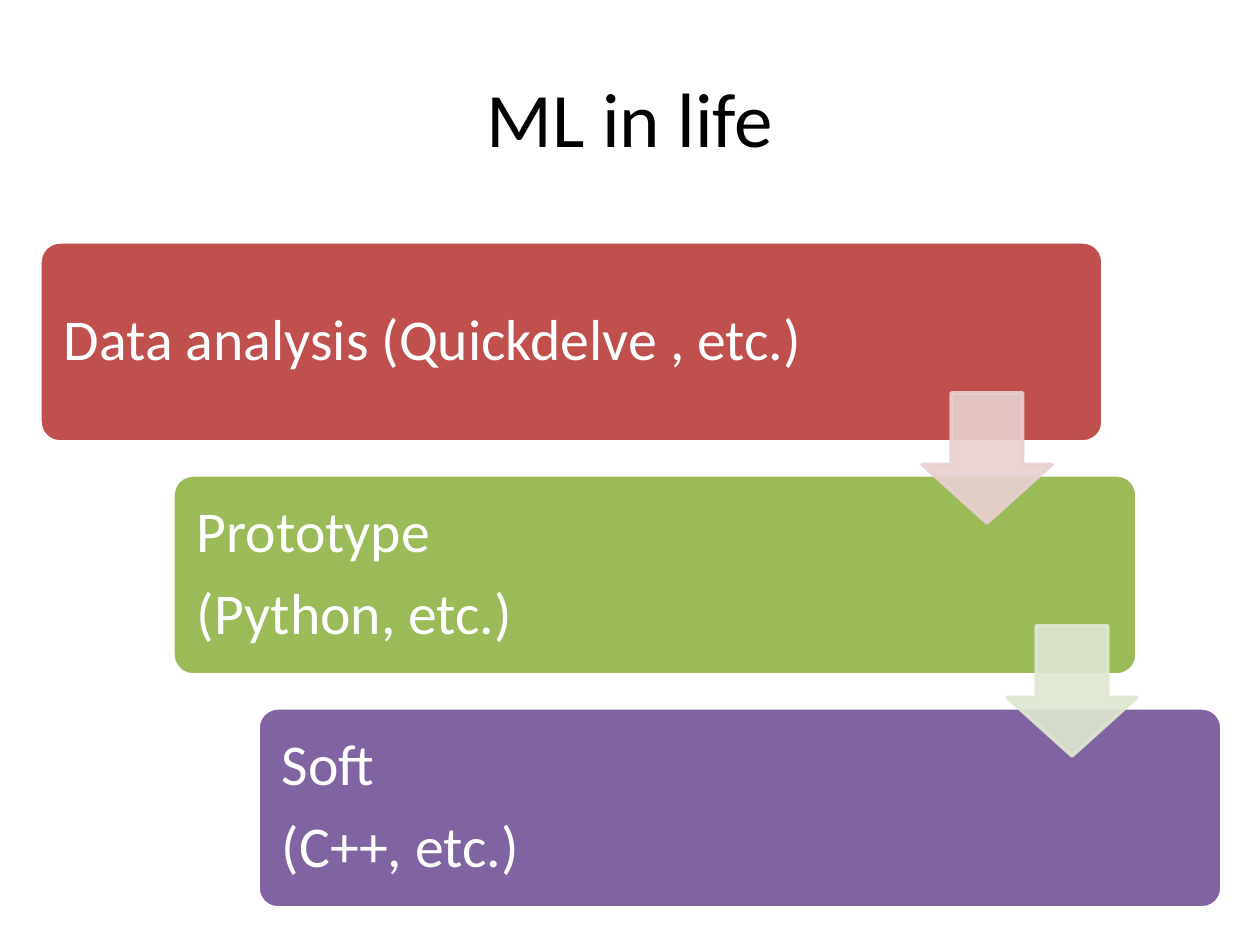
from lxml import etree
from pptx import Presentation
from pptx.dml.color import RGBColor
from pptx.enum.shapes import MSO_SHAPE
from pptx.enum.text import MSO_ANCHOR, PP_ALIGN
from pptx.oxml.ns import qn
from pptx.util import Pt

PX = 914400 / 126  # EMU per px
FONT = "Calibri"
STEP_H, STEP_PITCH = 200, 233
ARROW, ARROW_RISE, ARROW_INSET = 130, 82, 85

# left, width, fill, colour of the arrow to the next step, lines
STEPS = [
    (40, 1063, "C0504D", "E8D0D0", ["Data analysis (Quickdelve , etc.)"]),
    (173, 964, "9BBB59", "DEE7D1", ["Prototype", "(Python, etc.)"]),
    (258, 964, "8064A2", None, ["Soft", "(C++, etc.)"]),
]


def px(n):
    return round(n * PX)


def color(hex_str):
    return RGBColor.from_string(hex_str)


def style_text(p, size, hex_str, align):
    p.alignment = align
    p.font.name = FONT
    p.font.size = Pt(size)
    p.font.color.rgb = color(hex_str)


def add_filled(slide, kind, box, adjustments, fill, line):
    sp = slide.shapes.add_shape(kind, *map(px, box))
    sp.shadow.inherit = False
    for i, value in enumerate(adjustments):
        sp.adjustments[i] = value
    sp.fill.solid()
    sp.fill.fore_color.rgb = color(fill)
    sp.line.color.rgb = color(line)
    sp.line.width = Pt(2)
    return sp


def add_title(slide, box, text):
    tf = slide.shapes.add_textbox(*map(px, box)).text_frame
    tf.word_wrap = True
    tf.vertical_anchor = MSO_ANCHOR.MIDDLE
    tf.text = text
    style_text(tf.paragraphs[0], 44, "000000", PP_ALIGN.CENTER)


def add_step(slide, box, fill, lines):
    sp = add_filled(slide, MSO_SHAPE.ROUNDED_RECTANGLE, box, [0.1], fill, "FFFFFF")
    tf = sp.text_frame
    tf.word_wrap = True
    tf.vertical_anchor = MSO_ANCHOR.MIDDLE
    tf.margin_left = tf.margin_right = tf.margin_top = tf.margin_bottom = px(18)
    tf.text = "\n".join(lines)
    for p in tf.paragraphs:
        style_text(p, 33, "FFFFFF", PP_ALIGN.LEFT)
        p.line_spacing = 0.9
        p.space_after = Pt(11.5)


def add_step_arrow(slide, next_box, fill):
    """Place an arrow that points into the upper right of the next step."""
    x, y, w, _ = next_box
    box = (x + w - ARROW_INSET - ARROW, y - ARROW_RISE, ARROW, ARROW)
    sp = add_filled(slide, MSO_SHAPE.DOWN_ARROW, box, [0.55, 0.45], fill, fill)
    # 90% opacity on fill and line
    for clr in sp._element.spPr.iter(qn("a:srgbClr")):
        etree.SubElement(clr, qn("a:alpha")).set("val", "90000")


def add_staircase(slide, top):
    boxes = [(x, top + i * STEP_PITCH, w, STEP_H)
             for i, (x, w, *_) in enumerate(STEPS)]
    for box, (_, _, fill, _, lines) in zip(boxes, STEPS):
        add_step(slide, box, fill, lines)
    # Arrows lie over all the steps
    for next_box, (_, _, _, arrow_fill, _) in zip(boxes[1:], STEPS):
        add_step_arrow(slide, next_box, arrow_fill)


def main():
    prs = Presentation()
    prs.slide_width, prs.slide_height = px(1260), px(945)
    slide = prs.slides.add_slide(prs.slide_layouts[6])
    add_title(slide, (63, 38, 1134, 157), "ML in life")
    add_staircase(slide, 242)
    prs.save("out.pptx")


if __name__ == "__main__":
    main()
